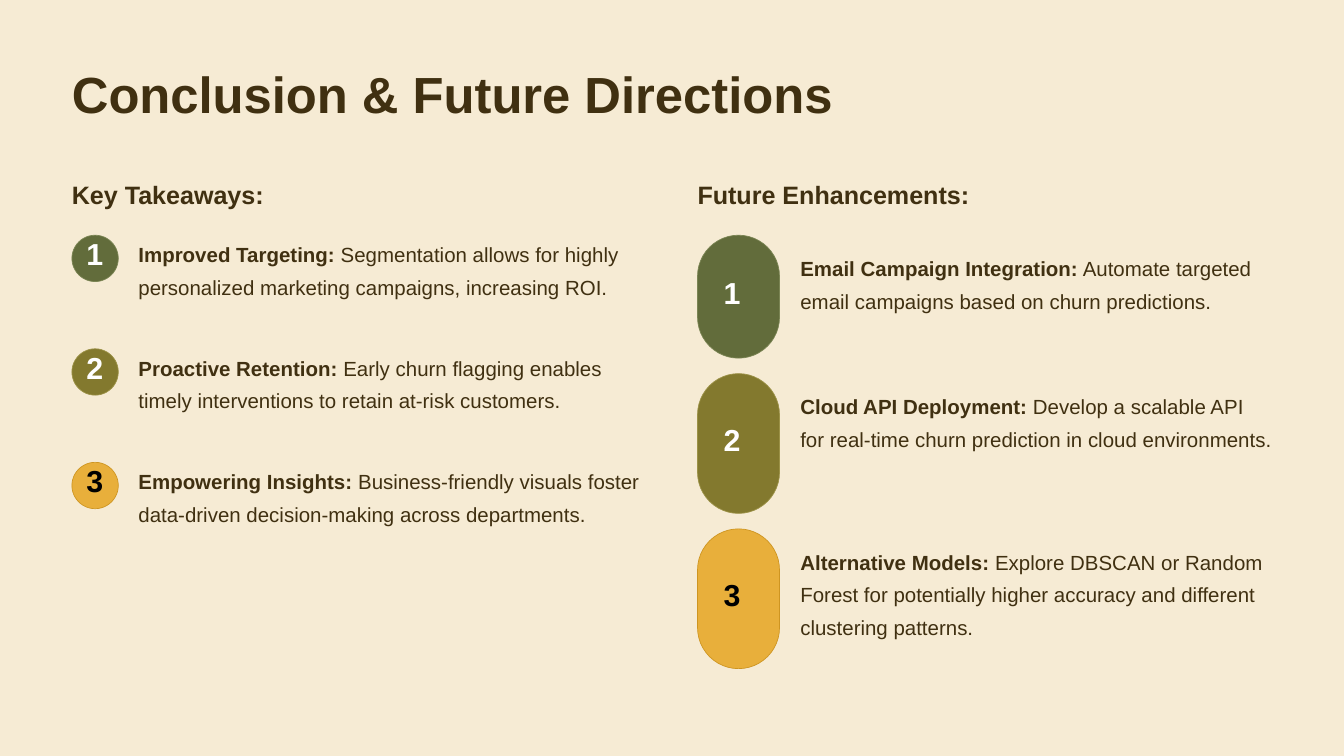
"""Build the conclusion slide with key takeaways and future enhancements."""
import pptx
import pptx.util
import pptx.dml.color
import pptx.enum.shapes
import pptx.enum.text

Inches, Pt = pptx.util.Inches, pptx.util.Pt
ALIGN = pptx.enum.text.PP_ALIGN
SHAPE = pptx.enum.shapes.MSO_SHAPE

COLORS = {"background": "F6EBD4", "text": "403011"}
BADGES = [
    {"fill": "626C3B", "line": "7B8554", "number": "FFFFFF"},
    {"fill": "83792E", "line": "9C9247", "number": "FFFFFF"},
    {"fill": "E8AF3B", "line": "CE9521", "number": "000000"},
]
TITLE = "Conclusion & Future Directions"
COLUMNS = [
    {
        "heading": "Key Takeaways:", "left": 1.07, "shape": SHAPE.OVAL,
        "width": 0.69, "heights": [0.69, 0.69, 0.69], "gap": 1.0,
        "number_left": 0.11, "number_drop": 0.01, "number_align": ALIGN.CENTER,
        "text_top": -0.02, "text_left": 0.99, "text_width": 7.57,
        "items": [
            ("Improved Targeting:", " Segmentation allows for highly personalized marketing campaigns, increasing ROI."),
            ("Proactive Retention:", " Early churn flagging enables timely interventions to retain at-risk customers."),
            ("Empowering Insights:", " Business-friendly visuals foster data-driven decision-making across departments."),
        ],
    },
    {
        "heading": "Future Enhancements:", "left": 10.38, "shape": SHAPE.ROUNDED_RECTANGLE,
        "width": 1.22, "heights": [1.83, 2.08, 2.08], "gap": 0.23,
        "number_left": 0.39, "number_drop": 0.02, "number_align": ALIGN.LEFT,
        "text_top": 0.19, "text_left": 1.53, "text_width": 7.03,
        "items": [
            ("Email Campaign Integration:", " Automate targeted email campaigns based on churn predictions."),
            ("Cloud API Deployment:", " Develop a scalable API for real-time churn prediction in cloud environments."),
            ("Alternative Models:", " Explore DBSCAN or Random Forest for potentially higher accuracy and different clustering patterns."),
        ],
    },
]
HEADING_TOP, ITEMS_TOP = 2.65, 3.5
NUMBER_WIDTH, NUMBER_HEIGHT = 0.46, 0.53


def rgb(value):
    return pptx.dml.color.RGBColor.from_string(value)


def write(shape, runs, size, spacing, color, align=ALIGN.LEFT):
    """Fill a shape with one paragraph of (text, bold) runs."""
    frame = shape.text_frame
    frame.word_wrap = True
    frame.auto_size = pptx.enum.text.MSO_AUTO_SIZE.NONE
    frame.vertical_anchor = pptx.enum.text.MSO_ANCHOR.TOP
    frame.margin_left = frame.margin_right = frame.margin_top = frame.margin_bottom = 0
    paragraph = frame.paragraphs[0]
    paragraph.alignment = align
    paragraph.line_spacing = Pt(spacing)
    paragraph.space_before = Pt(0)
    paragraph.font.name = "Arial"
    paragraph.font.size = Pt(size)
    paragraph.font.color.rgb = rgb(color)
    for text, bold in runs:
        run = paragraph.add_run()
        run.text = text
        run.font.bold = bold


def add_text(slide, left, top, width, height, *style):
    """Add a text box and write into it."""
    box = slide.shapes.add_textbox(*map(Inches, (left, top, width, height)))
    write(box, *style)


def add_badge(slide, column, top, height, number, colors):
    """Add a coloured badge with its number."""
    badge = slide.shapes.add_shape(
        column["shape"], *map(Inches, (column["left"], top, column["width"], height)))
    if column["shape"] == SHAPE.ROUNDED_RECTANGLE:
        badge.adjustments[0] = 0.5
    badge.shadow.inherit = False
    badge.fill.solid()
    badge.fill.fore_color.rgb = rgb(colors["fill"])
    badge.line.color.rgb = rgb(colors["line"])
    badge.line.width = Pt(0.75)
    number_top = top + (height - NUMBER_HEIGHT) / 2 + column["number_drop"]
    add_text(slide, column["left"] + column["number_left"], number_top,
             NUMBER_WIDTH, NUMBER_HEIGHT, [(str(number), True)], 32.5, 32.5,
             colors["number"], column["number_align"])


def add_column(slide, column):
    """Add a heading and its numbered items."""
    add_text(slide, column["left"], HEADING_TOP, 5, 0.51,
             [(column["heading"], True)], 26.9, 33.7, COLORS["text"])
    top = ITEMS_TOP
    rows = zip(column["items"], column["heights"], BADGES)
    for number, ((label, detail), height, colors) in enumerate(rows, 1):
        add_badge(slide, column, top, height, number, colors)
        add_text(slide, column["left"] + column["text_left"], top + column["text_top"],
                 column["text_width"], 1.58, [(label, True), (detail, False)],
                 21.9, 35, COLORS["text"])
        top += height + column["gap"]


def main():
    presentation = pptx.Presentation()
    presentation.slide_width, presentation.slide_height = Inches(20), Inches(11.25)
    slide = presentation.slides.add_slide(presentation.slide_layouts[5])
    slide.background.fill.solid()
    slide.background.fill.fore_color.rgb = rgb(COLORS["background"])
    title = slide.shapes.title
    title.left, title.top, title.width, title.height = map(Inches, (1.07, 0.9, 11.9, 1.02))
    write(title, [(TITLE, True)], 54.4, 68.1, COLORS["text"])
    for column in COLUMNS:
        add_column(slide, column)
    presentation.save("out.pptx")


if __name__ == "__main__":
    main()
